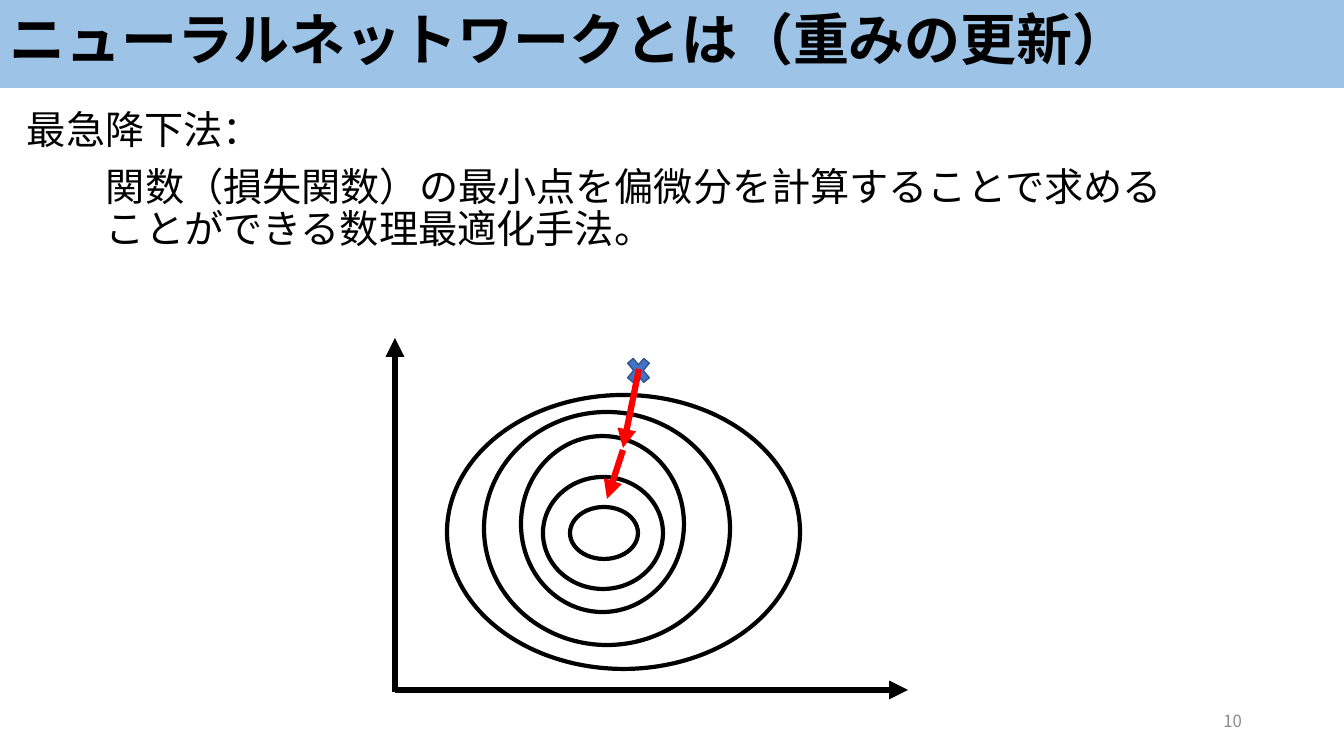
import pptx
import pptx.util
import pptx.dml.color
import pptx.enum.shapes
import pptx.enum.text
import pptx.oxml.ns
from lxml import etree

FONT = "Noto Sans CJK JP"
SIZE = (1344, 756)
BANNER = (0, 0, 1344, 88)
TITLE = ["ニューラルネットワークとは（重みの更新）"]
BODY = [
    "最急降下法：",
    "関数（損失関数）の最小点を偏微分を計算することで求めることができる数理最適化手法。",
]
CONTOURS = [
    (484, 412, 246, 233),
    (521, 436, 163, 176),
    (570, 507, 68, 52),
    (447, 395, 353, 274),
    (543, 477, 120, 112),
]
START_MARK = (623, 352, 31, 37)
AXES = [(395, 692, 395, 338), (395, 690, 908, 690)]
STEPS = [(639, 369, 623, 448), (623, 450, 607, 499)]

SHAPE = pptx.enum.shapes.MSO_SHAPE
ALIGN = pptx.enum.text.PP_ALIGN
ANCHOR = pptx.enum.text.MSO_ANCHOR
qn = pptx.oxml.ns.qn


def px(n):
    return round(n * 914400 / 100.8)


def rgb(color):
    return pptx.dml.color.RGBColor.from_string(color)


def add_shape(kind, box, fill=None, line=None, width=1):
    sp = slide.shapes.add_shape(kind, *map(px, box))
    sp.shadow.inherit = False
    if fill:
        sp.fill.solid()
        sp.fill.fore_color.rgb = rgb(fill)
    else:
        sp.fill.background()
    if line:
        sp.line.color.rgb = rgb(line)
        sp.line.width = pptx.util.Pt(width)
    else:
        sp.line.fill.background()


def add_text(lines, box, size, color="000000", bold=False, align=ALIGN.LEFT,
             anchor=ANCHOR.TOP, spacing=0.9, indents=(0,)):
    tf = slide.shapes.add_textbox(*map(px, box)).text_frame
    tf.word_wrap = True
    tf.vertical_anchor = anchor
    for i, (line, indent) in enumerate(zip(lines, indents)):
        p = tf.add_paragraph() if i else tf.paragraphs[0]
        p.alignment = align
        p.line_spacing = spacing
        if i:
            p.space_before = pptx.util.Pt(10)
        if indent:
            p._p.get_or_add_pPr().set("marL", str(px(indent)))
        r = p.add_run()
        r.text = line
        r.font.size = pptx.util.Pt(size)
        r.font.bold = bold
        r.font.color.rgb = rgb(color)
        r.font.name = FONT
        etree.SubElement(r._r.get_or_add_rPr(), qn("a:ea"), typeface=FONT)


def add_arrow(ends, color):
    kind = pptx.enum.shapes.MSO_CONNECTOR.STRAIGHT
    c = slide.shapes.add_connector(kind, *map(px, ends))
    c.line.color.rgb = rgb(color)
    c.line.width = pptx.util.Pt(4.5)
    etree.SubElement(c.line._get_or_add_ln(), qn("a:tailEnd"), type="triangle")
    etree.SubElement(c._element.spPr, qn("a:effectLst"))


prs = pptx.Presentation()
prs.slide_width, prs.slide_height = map(px, SIZE)
slide = prs.slides.add_slide(prs.slide_layouts[6])

add_shape(SHAPE.RECTANGLE, BANNER, fill="9DC3E6")
add_text(TITLE, (0, 7, 1200, 74), 40, bold=True)
add_text(["10"], (950, 701, 302, 40), 12, color="8C8C8C", align=ALIGN.RIGHT,
         anchor=ANCHOR.MIDDLE, spacing=1.0)
add_text(BODY, (17, 106, 1172, 183), 28, indents=(0, 79))

for box in CONTOURS:
    add_shape(SHAPE.OVAL, box, line="000000", width=3)
for ends in AXES:
    add_arrow(ends, "000000")
add_shape(SHAPE.MATH_MULTIPLY, START_MARK, fill="4472C4", line="325491")
for ends in STEPS:
    add_arrow(ends, "FF0000")

prs.save("out.pptx")
